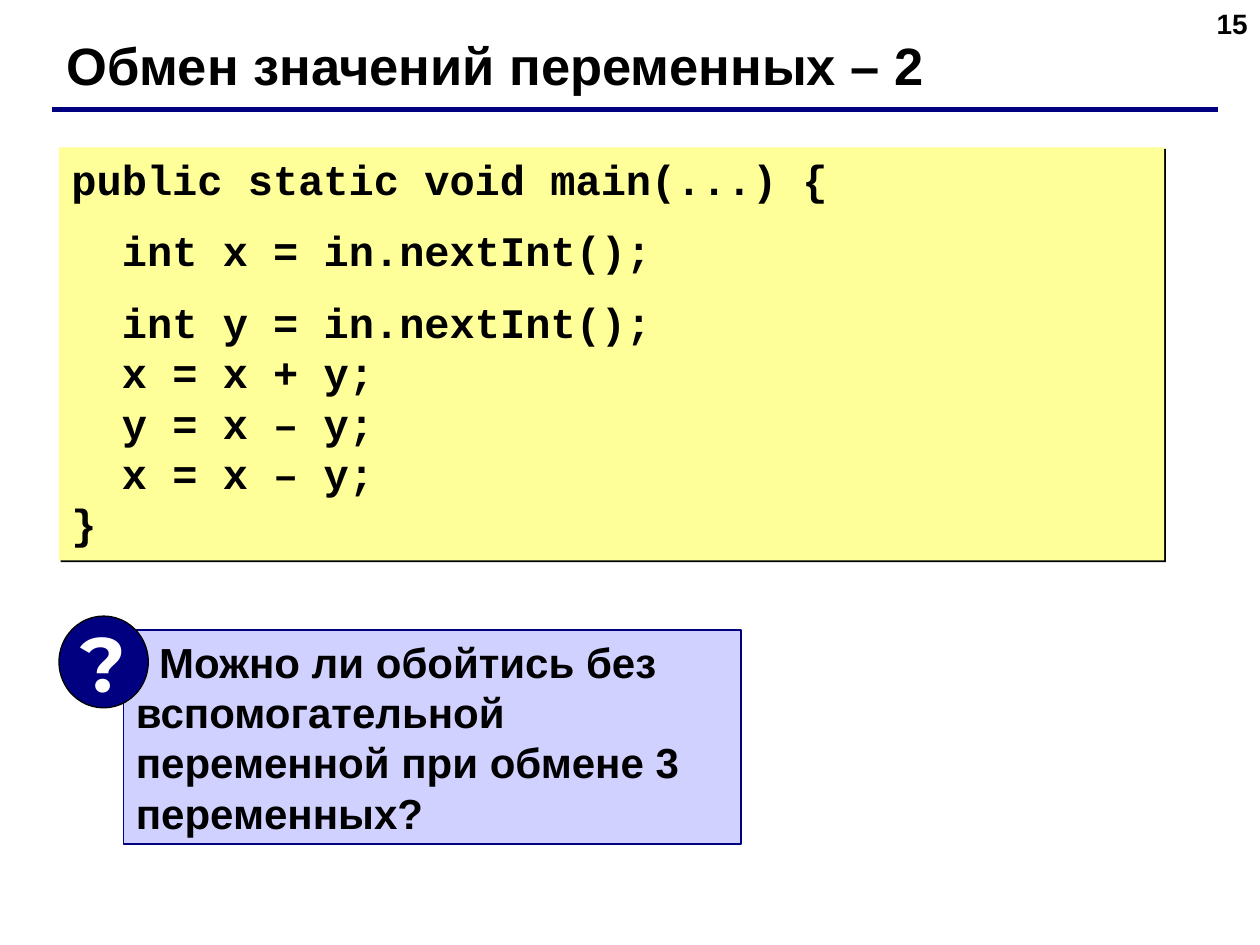
from lxml.etree import SubElement
from pptx import Presentation
from pptx.dml.color import RGBColor
from pptx.enum.shapes import MSO_CONNECTOR, MSO_SHAPE
from pptx.enum.text import MSO_ANCHOR, PP_ALIGN
from pptx.oxml.ns import qn
from pptx.util import Cm, Pt

NAVY, BLACK, WHITE = "000080", "000000", "FFFFFF"
YELLOW, LILAC = "FFFF99", "D1D1FF"

# Each line of code: text, depth, space before
CODE = [
    ("public static void main(...) {", 0, 0),
    ("int x = in.nextInt();", 1, 12),
    ("int y = in.nextInt();", 1, 12),
    ("x = x + y;", 1, 0),
    ("y = x – y;", 1, 0),
    ("x = x – y;", 1, 0),
    ("}", 0, 0),
]
STEP = 1.02  # width of two code letters


def paint(color, tint):
    color.rgb = RGBColor.from_string(tint)


def write(par, text, size=24, font="Arial", tint=BLACK, align=PP_ALIGN.LEFT,
          lead=None, before=0, left=0, first=0):
    """Fill one paragraph; left and first are indents in cm."""
    run = par.add_run()
    run.text = text
    run.font.size, run.font.name, run.font.bold = Pt(size), font, True
    paint(run.font.color, tint)
    par.alignment = align
    par.space_before = Pt(before)
    if lead:
        par.line_spacing = Pt(lead)
    props = par._p.get_or_add_pPr()
    props.set("marL", str(Cm(left)))
    props.set("indent", str(Cm(first)))


class Page:
    def __init__(self, deck):
        self.slide = deck.slides.add_slide(deck.slide_layouts[5])
        self.shapes = self.slide.shapes

    def frame(self, shape, anchor=MSO_ANCHOR.TOP, wrap=True):
        frame = shape.text_frame
        frame.word_wrap = wrap
        frame.vertical_anchor = anchor
        return frame

    def title(self, text, x, y, w, h):
        shape = self.shapes.title
        shape.left, shape.top, shape.width, shape.height = map(Cm, (x, y, w, h))
        write(self.frame(shape).paragraphs[0], text, size=30)

    def label(self, text, x, y, w, h, **style):
        box = self.shapes.add_textbox(*map(Cm, (x, y, w, h)))
        write(self.frame(box).paragraphs[0], text, **style)

    def rule(self, x, y, end, width):
        line = self.shapes.add_connector(
            MSO_CONNECTOR.STRAIGHT, *map(Cm, (x, y, end, y)))
        paint(line.line.color, NAVY)
        line.line.width = Pt(width)
        SubElement(line._element.spPr, qn("a:effectLst"))

    def block(self, kind, x, y, w, h, fill, edge=None, width=1):
        shape = self.shapes.add_shape(kind, *map(Cm, (x, y, w, h)))
        shape.shadow.inherit = False
        shape.fill.solid()
        paint(shape.fill.fore_color, fill)
        if edge:
            paint(shape.line.color, edge)
            shape.line.width = Pt(width)
        else:
            shape.line.fill.background()
        return shape

    def code(self, lines, x, y, w, h):
        shape = self.block(MSO_SHAPE.RECTANGLE, x, y, w, h, YELLOW)
        effects = shape._element.spPr.find(qn("a:effectLst"))
        shade = SubElement(effects, qn("a:outerShdw"), dist=str(Pt(1.4)),
                           dir="2700000", algn="ctr", rotWithShape="0")
        SubElement(shade, qn("a:srgbClr"), val=BLACK)
        frame = self.frame(shape)
        for n, (text, depth, before) in enumerate(lines):
            par = frame.add_paragraph() if n else frame.paragraphs[0]
            write(par, text, font="Courier New", lead=28.8,
                  before=before, left=depth * STEP)

    def ask(self, text, x, y, w, h):
        """Add a question box with a round badge at its corner."""
        box = self.block(MSO_SHAPE.RECTANGLE, x, y, w, h, LILAC, NAVY)
        write(self.frame(box).paragraphs[0], text, lead=28.8, first=0.47)
        badge = self.block(MSO_SHAPE.OVAL, x - 1.3, y - 0.28, 1.8, 1.85,
                           NAVY, BLACK, 0.75)
        frame = self.frame(badge, MSO_ANCHOR.MIDDLE, wrap=False)
        write(frame.paragraphs[0], "?", size=44, font="Montserrat",
              tint=WHITE, align=PP_ALIGN.CENTER)


def main():
    deck = Presentation()
    deck.slide_width, deck.slide_height = Cm(25.4), Cm(19.05)
    page = Page(deck)
    page.label("15", 19.48, 0, 5.92, 1.32, size=16, align=PP_ALIGN.RIGHT)
    page.rule(1.04, 2.21, 24.56, 3)
    page.title("Обмен значений переменных – 2", 1.09, 0.53, 22.6, 1.52)
    page.code(CODE, 1.19, 2.97, 22.28, 8.33)
    page.ask("Можно ли обойтись без вспомогательной переменной "
             "при обмене 3 переменных?", 2.49, 12.7, 12.45, 4.32)
    deck.save("out.pptx")


if __name__ == "__main__":
    main()
